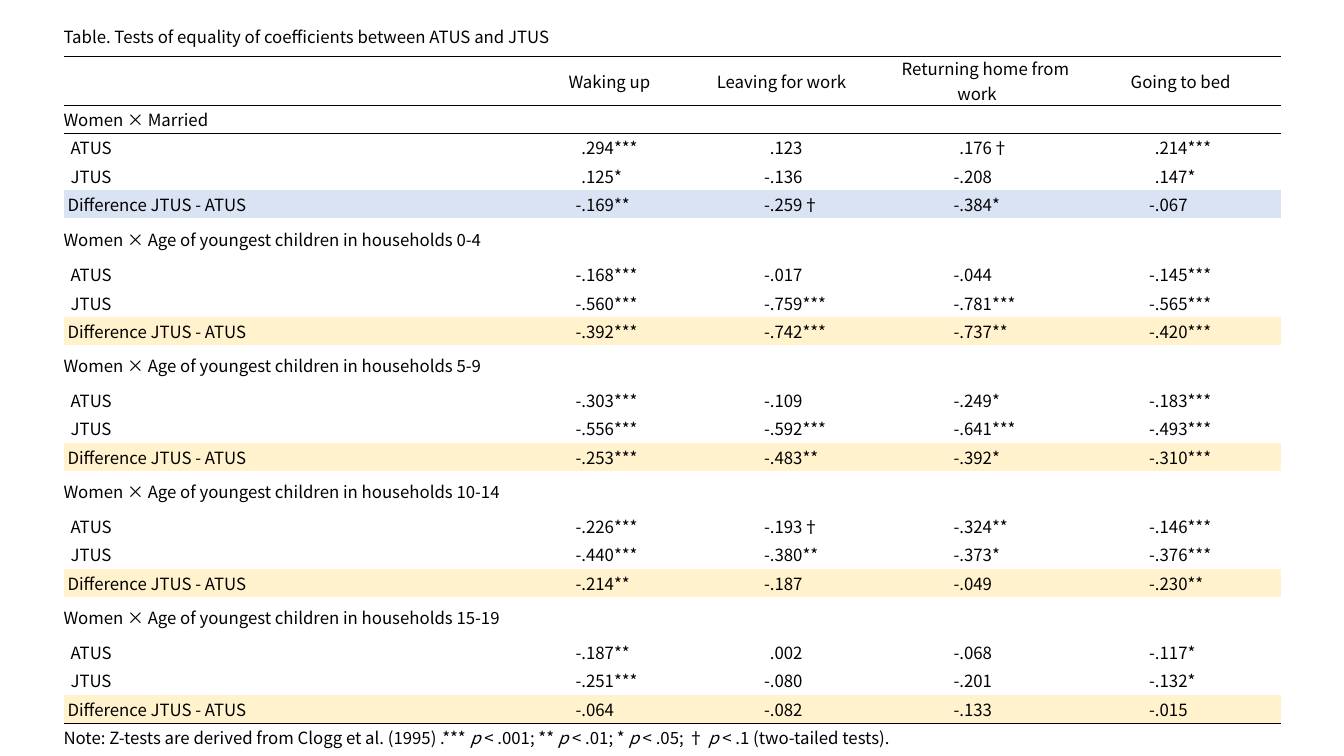
from lxml.etree import SubElement
from pptx import Presentation
from pptx.dml.color import RGBColor
from pptx.enum.text import MSO_ANCHOR, PP_ALIGN
from pptx.oxml.ns import qn
from pptx.util import Inches, Pt

FONT = "Noto Sans CJK JP"
WHITE, BLACK, BLUE, YELLOW = "FFFFFF", "000000", "DAE3F3", "FFF2CC"
TITLE = "Table. Tests of equality of coefficients between ATUS and JTUS　"
HEADINGS = ["Waking up", "Leaving for work　", "Returning home from work　", "Going to bed　"]
NOTE = ("Note: Z-tests are derived from Clogg et al. (1995) .*** _p_ < .001; ** _p_ < .01; "
        "* _p_ < .05; † _p_ < .1 (two-tailed tests).　")
LABELS = [("ATUS", 0.07), ("JTUS", 0.07), ("Difference JTUS - ATUS", 0.04)]
AGES = "Women × Age of youngest children in households "
GROUPS = [
    ("Women × Married", 0.28, BLUE, [
        ".294*** .123 .176† .214***",
        ".125* -.136 -.208 .147*",
        "-.169** -.259† -.384* -.067"]),
    (AGES + "0-4", 0.42, YELLOW, [
        "-.168*** -.017 -.044 -.145***",
        "-.560*** -.759*** -.781*** -.565***",
        "-.392*** -.742*** -.737** -.420***"]),
    (AGES + "5-9", 0.41, YELLOW, [
        "-.303*** -.109 -.249* -.183***",
        "-.556*** -.592*** -.641*** -.493***",
        "-.253*** -.483** -.392* -.310***"]),
    (AGES + "10-14", 0.41, YELLOW, [
        "-.226*** -.193† -.324** -.146***",
        "-.440*** -.380** -.373* -.376***",
        "-.214** -.187 -.049 -.230**"]),
    (AGES + "15-19", 0.41, YELLOW, [
        "-.187** .002 -.068 -.117*",
        "-.251*** -.080 -.201 -.132*",
        "-.064 -.082 -.133 -.015"]),
]
COLS = [4.46, 1, 0.91, 0.96, 0.71, 1.17, 1.04, 0.9, 0.93]
NO_GRID = "{2D5ABB26-0587-4C30-8999-92F81FD0307C}"


def rgb(value):
    return RGBColor.from_string(value)


def write(tf, text, size=12, color=BLACK, align=PP_ALIGN.LEFT):
    p = tf.paragraphs[0]
    p.alignment = align
    if not text:
        SubElement(p._p, qn("a:endParaRPr"), sz=str(size * 100))
        return
    for i, part in enumerate(text.split("_")):
        r = p.add_run()
        r.text = part
        r.font.size = Pt(size)
        r.font.italic = i % 2 == 1
        r.font.color.rgb = rgb(color)
        r.font.name = FONT
        SubElement(r._r.get_or_add_rPr(), qn("a:ea"), typeface=FONT)


class TableSlide:
    def __init__(self, prs):
        self.slide = prs.slides.add_slide(prs.slide_layouts[6])

    def table(self, left, top, cols, rows):
        frame = self.slide.shapes.add_table(
            len(rows), len(cols), Inches(left), Inches(top),
            Inches(sum(cols)), Inches(sum(rows)))
        table = frame.table
        table.first_row = table.horz_banding = False
        table._tbl.tblPr.find(qn("a:tableStyleId")).text = NO_GRID
        for col, width in zip(table.columns, cols):
            col.width = Inches(width)
        for row, height in zip(table.rows, rows):
            row.height = Inches(height)
        return table

    def border(self, cell, side):
        ln = SubElement(cell._tc.get_or_add_tcPr(), qn("a:ln" + side), w=str(Pt(0.5)))
        fill = SubElement(ln, qn("a:solidFill"))
        SubElement(fill, qn("a:srgbClr"), val=BLACK)

    def cell(self, cell, text="", fill=WHITE, sides="", indent=0, **fmt):
        for side in sides:
            self.border(cell, side)
        cell.fill.solid()
        cell.fill.fore_color.rgb = rgb(fill)
        cell.margin_left = Inches(indent)
        cell.margin_right = cell.margin_top = cell.margin_bottom = 0
        cell.vertical_anchor = MSO_ANCHOR.MIDDLE
        write(cell.text_frame, text, **fmt)

    def row(self, table, index, texts, aligns, fill=WHITE, indent=0, sides=""):
        for c, (text, align) in enumerate(zip(texts, aligns)):
            self.cell(table.cell(index, c), text, fill=fill, sides=sides,
                      indent=0 if c else indent, align=align)


def main():
    prs = Presentation()
    prs.slide_width, prs.slide_height = Inches(13.33), Inches(7.5)
    s = TableSlide(prs)

    heights = [0.41, 0.41]
    for _, height, _, _ in GROUPS:
        heights += [height, 0.28, 0.28, 0.28]
    heights.append(0.28)
    table = s.table(0.63, 0.15, COLS, heights)
    last = len(heights) - 1

    for index in (0, last):
        table.cell(index, 0).merge(table.cell(index, 8))
    for c in range(1, 9, 2):
        table.cell(1, c).merge(table.cell(1, c + 1))

    blank = [""] * 8
    left = [PP_ALIGN.LEFT] * 9
    data = [PP_ALIGN.LEFT] + [PP_ALIGN.RIGHT, PP_ALIGN.LEFT] * 4
    heads = [""]
    for heading in HEADINGS:
        heads += [heading, ""]
    s.row(table, 0, [TITLE] + blank, left, sides="B")
    s.row(table, 1, heads, [PP_ALIGN.CENTER] * 9, sides="TB")

    index = 2
    for name, _, tint, lines in GROUPS:
        s.row(table, index, [name] + blank, left, sides="T" if index == 2 else "")
        for (label, indent), line in zip(LABELS, lines):
            index += 1
            texts = [label]
            for entry in line.split():
                value = entry.rstrip("*†")
                texts += [value, entry[len(value):]]
            s.row(table, index, texts, data, indent=indent,
                  fill=tint if label.startswith("Difference") else WHITE,
                  sides="B" if index == last - 1 else "")
        index += 1
    s.row(table, last, [NOTE] + blank, left, sides="T")

    prs.save("out.pptx")


if __name__ == "__main__":
    main()
